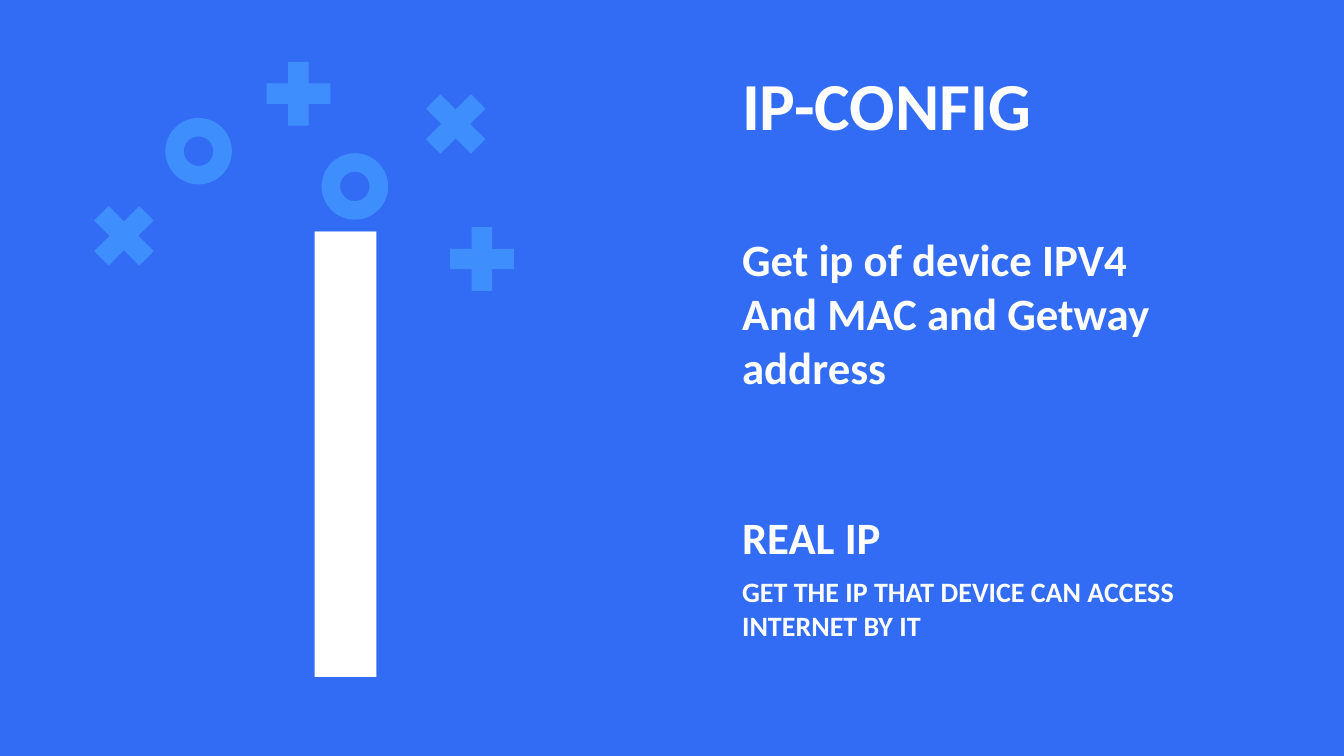
from pptx import Presentation
from pptx.dml.color import RGBColor as RGB
from pptx.enum.shapes import MSO_SHAPE as Shape
from pptx.enum.text import MSO_ANCHOR as Anchor, MSO_AUTO_SIZE as AutoSize, PP_ALIGN as Align
from pptx.oxml.xmlchemy import OxmlElement
from pptx.util import Inches, Pt

COLORS = {"background": "326CF4", "symbol": "3E8EFD", "text": "FFFFFF"}
W, H = 13.33, 7.5
TEXT_LEFT = 7.26
CROSS, RING = 0.86, 0.66


def place(sp, left, top, width, height):
    sp.left, sp.top = Inches(left), Inches(top)
    sp.width, sp.height = Inches(width), Inches(height)


def write(sp, lines, size, bold=True):
    tf = sp.text_frame
    tf.word_wrap = True
    tf.auto_size = AutoSize.NONE
    tf.vertical_anchor = Anchor.TOP
    for i, line in enumerate(lines):
        p = tf.add_paragraph() if i else tf.paragraphs[0]
        p.alignment = Align.LEFT
        p.line_spacing = 1.0
        p.space_before = p.space_after = Pt(0)
        pPr = p._p.get_or_add_pPr()
        pPr.set("marL", "0")
        pPr.set("indent", "0")
        pPr.append(OxmlElement("a:buNone"))
        r = p.add_run()
        r.text = line
        r.font.name = "Calibri"
        r.font.size = Pt(size)
        r.font.bold = bold
        r.font.color.rgb = RGB.from_string(COLORS["text"])


prs = Presentation()
prs.slide_width, prs.slide_height = Inches(W), Inches(H)
s = prs.slides.add_slide(prs.slide_layouts.get_by_name("Comparison"))
s.background.fill.solid()
s.background.fill.fore_color.rgb = RGB.from_string(COLORS["background"])

symbols = [
    (Shape.MATH_MULTIPLY, 0.8, 1.91, CROSS, 0),
    (Shape.MATH_MULTIPLY, 2.53, 0.5, CROSS, 45),
    (Shape.MATH_MULTIPLY, 4.35, 2.14, CROSS, 45),
    (Shape.DONUT, 1.64, 1.17, RING, 0),
    (Shape.DONUT, 3.19, 1.52, RING, 0),
    (Shape.MATH_MULTIPLY, 4.09, 0.8, CROSS, 0),
]
for kind, left, top, size, angle in symbols:
    sp = s.shapes.add_shape(kind, Inches(left), Inches(top), Inches(size), Inches(size))
    sp.rotation = angle
    sp.shadow.inherit = False
    sp.fill.solid()
    sp.fill.fore_color.rgb = RGB.from_string(COLORS["symbol"])
    sp.line.fill.background()
    if kind == Shape.DONUT:
        sp.adjustments[0] = 0.278

texts = [
    (0, 0.58, 4.56, 0.91, 48, ["IP-CONFIG"]),
    (1, 2.25, 4.26, 1.72, 32, ["Get ip of device IPV4", "And MAC and Getway address"]),
    (3, 5.01, 4.26, 0.64, 32, ["REAL IP"]),
    (2, 5.65, 4.79, 0.77, 20, ["GET THE IP THAT DEVICE CAN ACCESS INTERNET BY IT"]),
]
holders = {sp.placeholder_format.idx: sp for sp in s.placeholders}
for idx, top, width, height, size, lines in texts:
    sp = holders.pop(idx)
    place(sp, TEXT_LEFT, top, width, height)
    write(sp, lines, size)
for sp in holders.values():
    sp.element.getparent().remove(sp.element)

letter = s.shapes.add_textbox(0, 0, 0, 0)
place(letter, 2.47, -0.22, 2.7, 8.45)
write(letter, ["I"], 496, bold=False)

prs.save("out.pptx")
